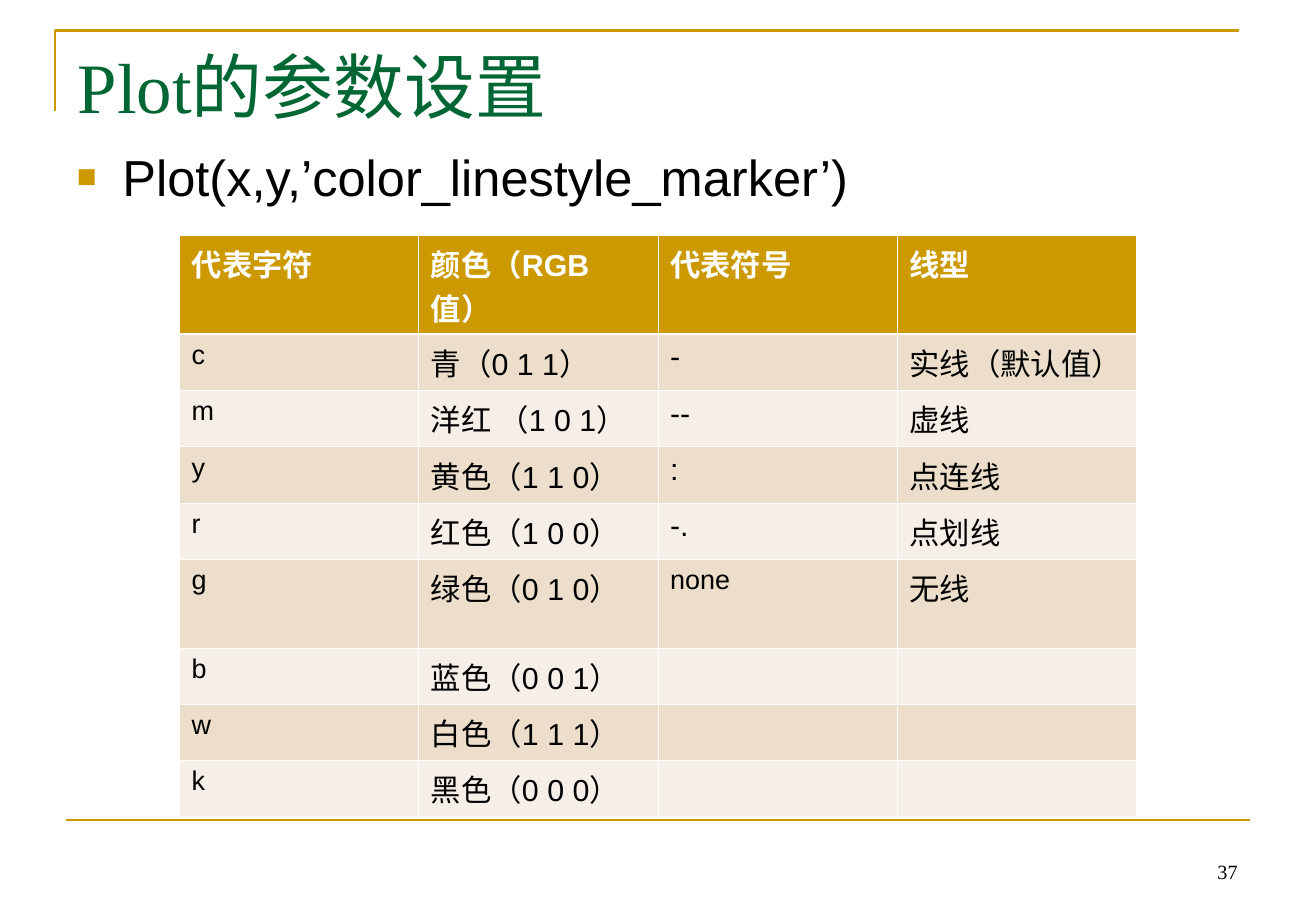
from dataclasses import dataclass

from lxml import etree
from pptx import Presentation
from pptx.dml.color import RGBColor
from pptx.enum.shapes import MSO_CONNECTOR
from pptx.enum.text import MSO_ANCHOR, PP_ALIGN
from pptx.oxml.ns import qn
from pptx.util import Pt

STRAIGHT = MSO_CONNECTOR.STRAIGHT
TOP, BOTTOM = MSO_ANCHOR.TOP, MSO_ANCHOR.BOTTOM
LEFT, RIGHT = PP_ALIGN.LEFT, PP_ALIGN.RIGHT


@dataclass(frozen=True)
class Theme:
    gold: str = "CC9900"
    green: str = "006633"
    black: str = "000000"
    white: str = "FFFFFF"
    bands: tuple = ("ECDECB", "F6EFE7")
    serif: str = "Times New Roman"
    sans: str = "Arial"
    title: int = 42
    body: int = 30
    cell: int = 18
    code: int = 16
    number: int = 12
    rule: float = 1.5
    grid: float = 0.45
    head_grid: float = 1.47


class Deck:
    def __init__(self, theme, width, height):
        self.theme = theme
        self.prs = Presentation()
        self.prs.slide_width, self.prs.slide_height = Pt(width), Pt(height)
        self.s = self.prs.slides.add_slide(self.prs.slide_layouts[6])

    def run(self, p, text, size, color, font, bold=False):
        r = p.add_run()
        r.text = text
        r.font.size = Pt(size)
        r.font.name = font
        r.font.bold = bold
        r.font.color.rgb = RGBColor.from_string(color)

    def rule(self, sp):
        sp.line.color.rgb = RGBColor.from_string(self.theme.gold)
        sp.line.width = Pt(self.theme.rule)

    def corner(self, *points):
        start, *rest = [(Pt(x), Pt(y)) for x, y in points]
        builder = self.s.shapes.build_freeform(*start)
        builder.add_line_segments(rest, close=False)
        sp = builder.convert_to_shape()
        sp.shadow.inherit = False
        sp.fill.background()
        self.rule(sp)

    def line(self, x1, y1, x2, y2):
        sp = self.s.shapes.add_connector(STRAIGHT, Pt(x1), Pt(y1), Pt(x2), Pt(y2))
        self.rule(sp)
        etree.SubElement(sp._element.spPr, qn("a:effectLst"))

    def text(self, box, text, size, color, font, anchor=TOP, align=LEFT, bullet=False):
        sp = self.s.shapes.add_textbox(*map(Pt, box))
        tf = sp.text_frame
        tf.word_wrap = True
        tf.vertical_anchor = anchor
        p = tf.paragraphs[0]
        p.alignment = align
        if bullet:
            self.bullet(p)
        self.run(p, text, size, color, font)

    def bullet(self, p):
        pPr = p._p.get_or_add_pPr()
        pPr.set("marL", str(Pt(27)))
        pPr.set("indent", str(Pt(-27)))
        color = etree.SubElement(pPr, qn("a:buClr"))
        etree.SubElement(color, qn("a:srgbClr"), val=self.theme.gold)
        etree.SubElement(pPr, qn("a:buSzPct"), val="65000")
        etree.SubElement(pPr, qn("a:buFont"), typeface=self.theme.sans)
        etree.SubElement(pPr, qn("a:buChar"), char="■")

    def borders(self, cell, top, bottom):
        t = self.theme
        tcPr = cell._tc.get_or_add_tcPr()
        sides = {"L": t.grid, "R": t.grid, "T": top, "B": bottom}
        for i, (side, width) in enumerate(sides.items()):
            ln = etree.Element(qn(f"a:ln{side}"), w=str(Pt(width)))
            fill = etree.SubElement(ln, qn("a:solidFill"))
            etree.SubElement(fill, qn("a:srgbClr"), val=t.white)
            tcPr.insert(i, ln)

    def table(self, left, top, col_width, heights, rows, code_cells):
        t = self.theme
        n = len(rows[0])
        sp = self.s.shapes.add_table(len(rows), n, Pt(left), Pt(top),
                                     Pt(col_width * n), Pt(sum(heights)))
        table = sp.table
        for col in table.columns:
            col.width = Pt(col_width)
        for i, (row, height) in enumerate(zip(rows, heights)):
            table.rows[i].height = Pt(height)
            head = i == 0
            fill = t.gold if head else t.bands[(i - 1) % 2]
            color = t.white if head else t.black
            for j, text in enumerate(row):
                cell = table.cell(i, j)
                cell.fill.solid()
                cell.fill.fore_color.rgb = RGBColor.from_string(fill)
                self.borders(cell, t.head_grid if i == 1 else t.grid,
                             t.head_grid if head else t.grid)
                if text:
                    size = t.code if text in code_cells else t.cell
                    self.run(cell.text_frame.paragraphs[0], text, size, color, t.sans, head)


HEADER = ("代表字符", "颜色（RGB值）", "代表符号", "线型")
COLORS = (
    ("c", "青（0 1 1）"),
    ("m", "洋红 （1 0 1）"),
    ("y", "黄色（1 1 0）"),
    ("r", "红色（1 0 0）"),
    ("g", "绿色（0 1 0）"),
    ("b", "蓝色（0 0 1）"),
    ("w", "白色（1 1 1）"),
    ("k", "黑色（0 0 0）"),
)
LINE_STYLES = (
    ("-", "实线（默认值）"),
    ("--", "虚线"),
    (":", "点连线"),
    ("-.", "点划线"),
    ("none", "无线"),
) + (("", ""),) * 3


def main():
    t = Theme()
    deck = Deck(t, 780.48, 540)
    deck.corner((32.7, 66), (32.7, 18), (734.7, 18))
    deck.line(39.2, 486, 741.2, 486)
    deck.text((39, 21.6, 702, 90), "Plot的参数设置", t.title, t.green, t.serif)
    deck.text((38.5, 82.8, 702, 356.4), "Plot(x,y,’color_linestyle_marker’)",
              t.body, t.black, t.sans, bullet=True)
    deck.text((559, 491.4, 182.16, 36), "37", t.number, t.black, t.serif, BOTTOM, RIGHT)
    rows = [HEADER] + [color + style for color, style in zip(COLORS, LINE_STYLES)]
    heights = [58.75] + [33.35] * 4 + [52.6] + [33.35] * 3
    codes = {code for code, _ in COLORS} | {"none"}
    deck.table(106.5, 139.4, 141.9, heights, rows, codes)
    deck.prs.save("out.pptx")


if __name__ == "__main__":
    main()
